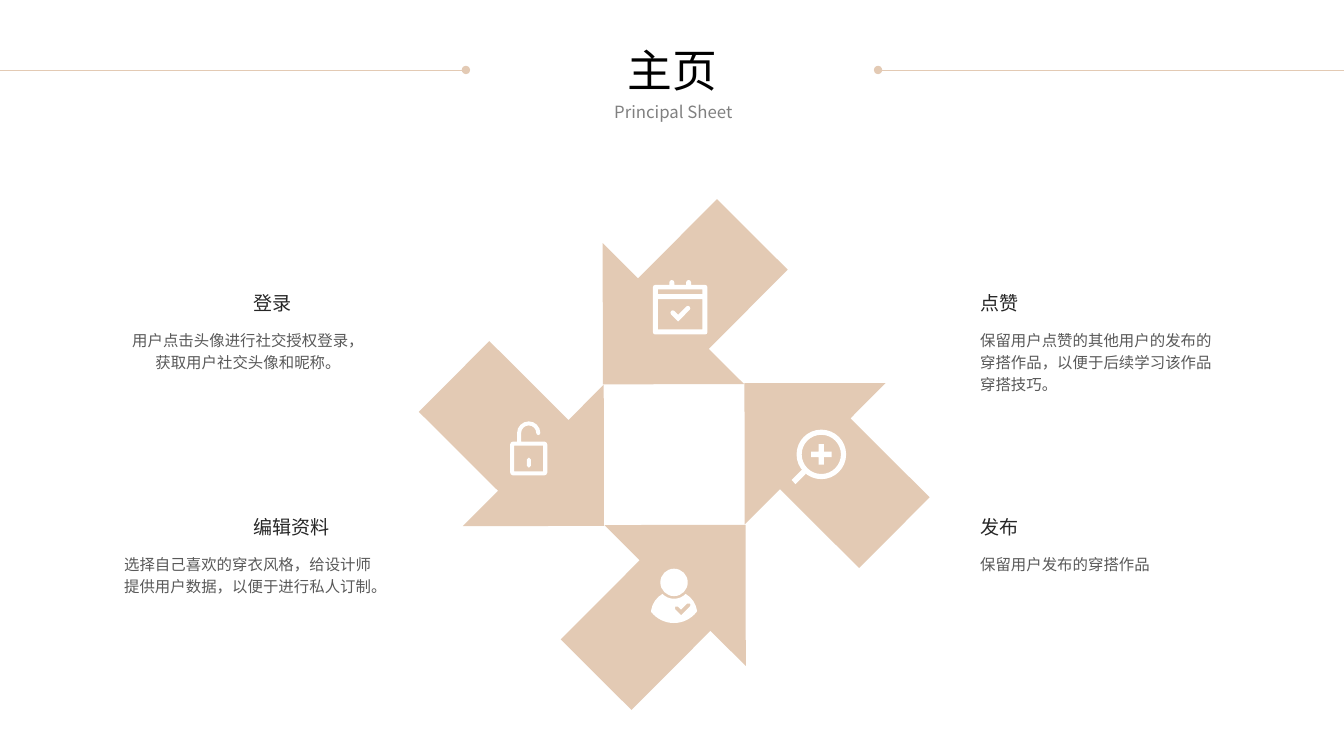
import dataclasses
import math
import typing

import lxml.etree
import pptx
import pptx.dml.color
import pptx.enum.shapes
import pptx.enum.text
import pptx.oxml.ns
import pptx.util

Pt = pptx.util.Pt
qn = pptx.oxml.ns.qn
Align = pptx.enum.text.PP_ALIGN


class Point(typing.NamedTuple):
    x: float
    y: float
    curved: bool = False


Contour = list[Point]


@dataclasses.dataclass(frozen=True)
class Theme:
    sand: str = "E3CAB4"
    white: str = "FFFFFF"
    title: str = "000000"
    subtitle: str = "808080"
    heading: str = "262626"
    body: str = "595959"
    font: str = "Noto Sans CJK SC"
    title_size: float = 32
    subtitle_size: float = 12
    heading_size: float = 13.6
    body_size: float = 11
    body_leading: float = 15.8


THEME = Theme()


@dataclasses.dataclass(frozen=True)
class Feature:
    heading: str
    body: str
    heading_left: float
    body_left: float
    top: float
    body_width: float
    body_height: float
    align: typing.Any


@dataclasses.dataclass(frozen=True)
class Icon:
    left: float
    top: float
    contours: list[Contour]


def colour(code: str) -> pptx.dml.color.RGBColor:
    return pptx.dml.color.RGBColor.from_string(code)


def assign(target: typing.Any, values: dict[str, typing.Any]) -> None:
    for name, value in values.items():
        setattr(target, name, value)


def write(box, text: str, size: float, code: str, align, wrap: bool = True,
          anchor=pptx.enum.text.MSO_ANCHOR.MIDDLE, leading: float | None = None) -> None:
    frame = box.text_frame
    assign(frame, {"word_wrap": wrap, "vertical_anchor": anchor,
                   "auto_size": pptx.enum.text.MSO_AUTO_SIZE.NONE})
    para = frame.paragraphs[0]
    para.alignment = align
    if leading:
        para.line_spacing = Pt(leading)
    span = para.add_run()
    span.text = text
    assign(span.font, {"size": Pt(size), "name": THEME.font, "bold": False})
    span.font.color.rgb = colour(code)
    lxml.etree.SubElement(span.font._element, qn("a:ea")).set("typeface", THEME.font)


def add_text(page, left: float, top: float, width: float, height: float, **text) -> None:
    write(page.shapes.add_textbox(Pt(left), Pt(top), Pt(width), Pt(height)), **text)


def paint(shape, code: str) -> None:
    shape.shadow.inherit = False
    shape.fill.solid()
    shape.fill.fore_color.rgb = colour(code)
    shape.line.fill.background()


def add_rule(page, outer: float, inner: float, y: float) -> None:
    rule = page.shapes.add_connector(
        pptx.enum.shapes.MSO_CONNECTOR.STRAIGHT, Pt(outer), Pt(y), Pt(inner), Pt(y))
    rule.line.color.rgb = colour(THEME.sand)
    rule.line.width = Pt(0.5)
    properties = rule._element.spPr
    lxml.etree.SubElement(properties.find(qn("a:ln")), qn("a:tailEnd")).set("type", "oval")
    lxml.etree.SubElement(properties, qn("a:effectLst"))


def add_feature(page, item: Feature) -> None:
    add_text(page, item.heading_left, item.top, 98.6, 23.8, text=item.heading,
             size=THEME.heading_size, code=THEME.heading, align=Align.JUSTIFY)
    add_text(page, item.body_left, item.top + 25.7, item.body_width, item.body_height,
             text=item.body, size=THEME.body_size, code=THEME.body, align=item.align,
             anchor=pptx.enum.text.MSO_ANCHOR.TOP, leading=THEME.body_leading)


def add_pinwheel(page, centre_x: float, centre_y: float) -> None:
    width, height = 151.2, 142.6
    dx, dy = -103.7, -2.4
    for turn in range(4):
        arrow = page.shapes.add_shape(
            pptx.enum.shapes.MSO_SHAPE.RIGHT_ARROW, Pt(centre_x + dx - width / 2),
            Pt(centre_y + dy - height / 2), Pt(width), Pt(height))
        arrow.rotation = 44.9 + 90 * turn
        paint(arrow, THEME.sand)
        dx, dy = -dy, dx


def arc(x: float, y: float, radius: float, start: float, end: float) -> Contour:
    pieces = math.ceil(abs(end - start) / 90)
    step = math.radians(end - start) / pieces
    pull = 4 / 3 * math.tan(step / 4)

    def place(angle: float, tangent: float, curved: bool = True) -> Point:
        cos, sin = math.cos(angle), math.sin(angle)
        return Point(x + radius * (cos - tangent * sin), y + radius * (sin + tangent * cos), curved)

    first = math.radians(start)
    points = [place(first, 0, False)]
    for i in range(pieces):
        begin = first + step * i
        points += [place(begin, pull), place(begin + step, -pull), place(begin + step, 0)]
    return points


def circle(x: float, y: float, radius: float) -> Contour:
    return arc(x, y, radius, 0, 360)


def panel(left: float, top: float, right: float, bottom: float, radius: float = 0) -> Contour:
    if not radius:
        return [Point(left, top), Point(right, top), Point(right, bottom), Point(left, bottom)]
    corners = panel(left + radius, top + radius, right - radius, bottom - radius)
    return [point for i, corner in enumerate(corners)
            for point in arc(corner.x, corner.y, radius, 180 + 90 * i, 270 + 90 * i)]


def tick(x: float, y: float, short: float, long: float, half: float) -> Contour:
    corner = half * math.sqrt(2)
    return [*arc(x - short, y - short, half, 135, 315), Point(x, y - corner),
            *arc(x + long, y - long, half, 225, 405), Point(x, y + corner)]


def binder(x: float) -> Contour:
    return [*arc(x, 1.8, 1.8, 180, 360), Point(x + 1.8, 3.6), Point(x - 1.8, 3.6)]


def plus(x: float, y: float, reach: float, half: float) -> Contour:
    arm = [(-half, -reach), (half, -reach), (half, -half)]
    points = []
    for _ in range(4):
        points += [Point(x + dx, y + dy) for dx, dy in arm]
        arm = [(-dy, dx) for dx, dy in arm]
    return points


def add_icon(page, icon: Icon) -> None:
    builder = None
    for contour in icon.contours:
        start, *rest = [(Pt(point.x), Pt(point.y)) for point in contour]
        if builder is None:
            builder = page.shapes.build_freeform(*start, scale=1.0)
        else:
            builder.move_to(*start)
        builder.add_line_segments(rest, close=True)
    shape = builder.convert_to_shape(Pt(icon.left), Pt(icon.top))
    bend(shape, [point.curved for contour in icon.contours for point in contour[1:]])
    paint(shape, THEME.white)


def bend(shape, curved: list[bool]) -> None:
    segments = list(shape._element.spPr.iter(qn("a:lnTo")))
    bent = [segment for segment, flag in zip(segments, curved) if flag]
    for first, second, third in zip(bent[::3], bent[1::3], bent[2::3]):
        curve = lxml.etree.Element(qn("a:cubicBezTo"))
        first.addprevious(curve)
        for segment in (first, second, third):
            curve.append(segment[0])
            segment.getparent().remove(segment)


FEATURES = [
    Feature("登录", "用户点击头像进行社交授权登录，获取用户社交头像和昵称。",
            174.2, 82.2, 204.5, 190.1, 38.9, Align.CENTER),
    Feature("编辑资料", "选择自己喜欢的穿衣风格，给设计师提供用户数据，以便于进行私人订制。",
            174.2, 77.3, 364.8, 195.1, 38.9, Align.RIGHT),
    Feature("点赞", "保留用户点赞的其他用户的发布的穿搭作品，以便于后续学习该作品穿搭技巧。",
            693, 693, 204.5, 190.1, 54.7, Align.LEFT),
    Feature("发布", "保留用户发布的穿搭作品",
            693, 693, 364.8, 190.1, 23, Align.LEFT),
]

LOCK = Icon(364.4, 301, [
    panel(0, 14.4, 26.6, 38.6, 2.2), panel(2.9, 17.3, 23.7, 35.8),
    panel(12, 25.9, 14.9, 33.1, 1.4),
    [Point(5, 14.4), *arc(13.3, 8.3, 8.3, 180, 360), *arc(20.15, 8.3, 1.45, 0, 180),
     *arc(13.3, 8.3, 5.4, 360, 180), Point(7.9, 14.4)]])
MAGNIFIER = Icon(565.4, 306.9, [
    circle(21.3, 17.7, 17.7), circle(21.3, 17.7, 14), plus(21.3, 17.7, 7.3, 1.9),
    [Point(7.2, 28.8), Point(10.1, 31.7), Point(2.9, 38.9), Point(0, 36)]])
MEMBER = Icon(465.1, 406.1, [
    circle(16.4, 9.9, 9.8),
    [*arc(16.4, 32.5, 16.6, 188, 240), *arc(16.4, 9.9, 11.7, 136, 44),
     *arc(16.4, 32.5, 16.6, 300, 352), *arc(16.3, 18.3, 20.6, 38, 142)],
    tick(21.4, 31.4, 3.2, 5.4, 1.4)])
CALENDAR = Icon(466.4, 200, [
    panel(0, 3.6, 38.9, 38.9, 1.5), panel(3.6, 6.8, 35.3, 10.1),
    panel(3.6, 13.7, 35.3, 35.3), binder(13.5), binder(25.5),
    tick(18, 27.2, 3.8, 7, 1.7)])


def main() -> None:
    deck = pptx.Presentation()
    assign(deck, {"slide_width": Pt(960), "slide_height": Pt(540)})
    page = deck.slides.add_slide(deck.slide_layouts[5])
    for outer, inner in ((0, 332.8), (960, 627.2)):
        add_rule(page, outer, inner, 50)
    title = page.shapes.title
    assign(title, {"left": Pt(441), "top": Pt(27), "width": Pt(78.5), "height": Pt(46)})
    write(title, "主页", THEME.title_size, THEME.title, Align.CENTER, wrap=False)
    add_text(page, 198, 69, 566, 21.6, text="Principal Sheet", size=THEME.subtitle_size,
             code=THEME.subtitle, align=Align.CENTER)
    for item in FEATURES:
        add_feature(page, item)
    add_pinwheel(page, 481.6, 324.7)
    for icon in (LOCK, MAGNIFIER, MEMBER, CALENDAR):
        add_icon(page, icon)
    deck.save("out.pptx")


if __name__ == "__main__":
    main()
